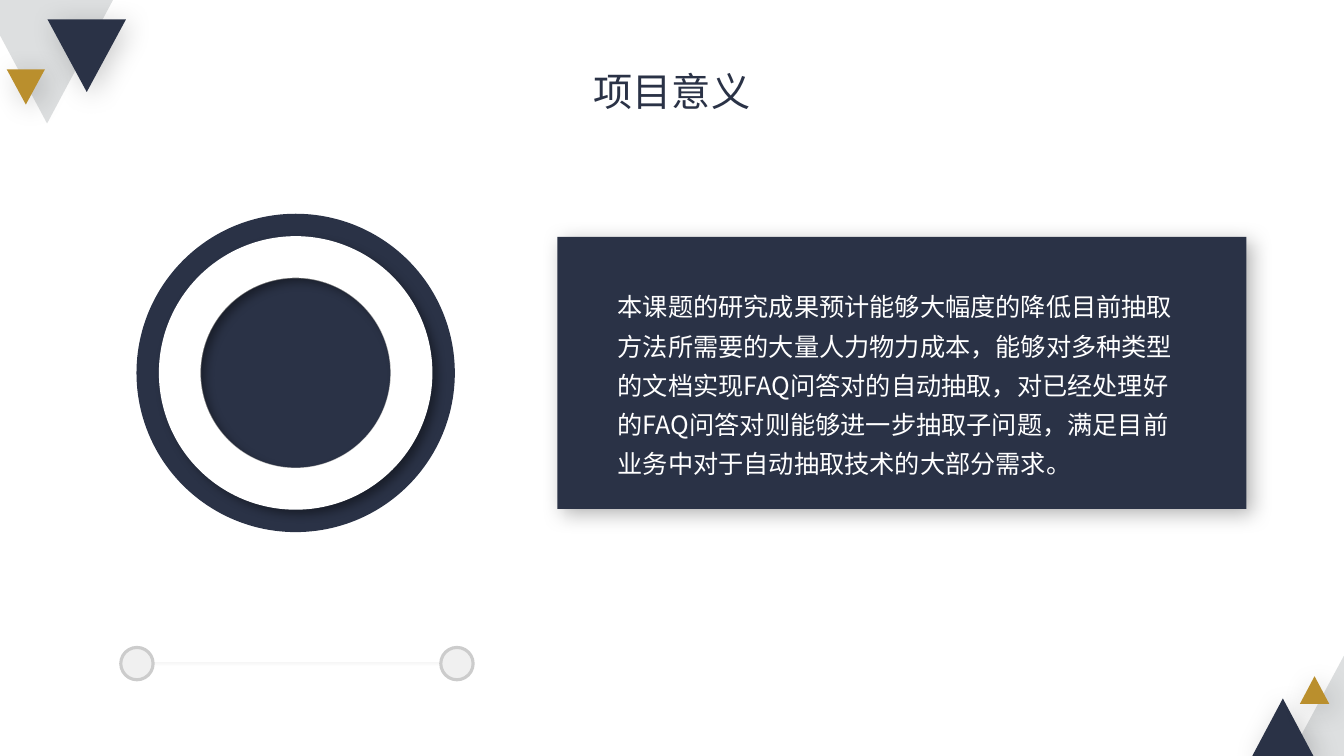
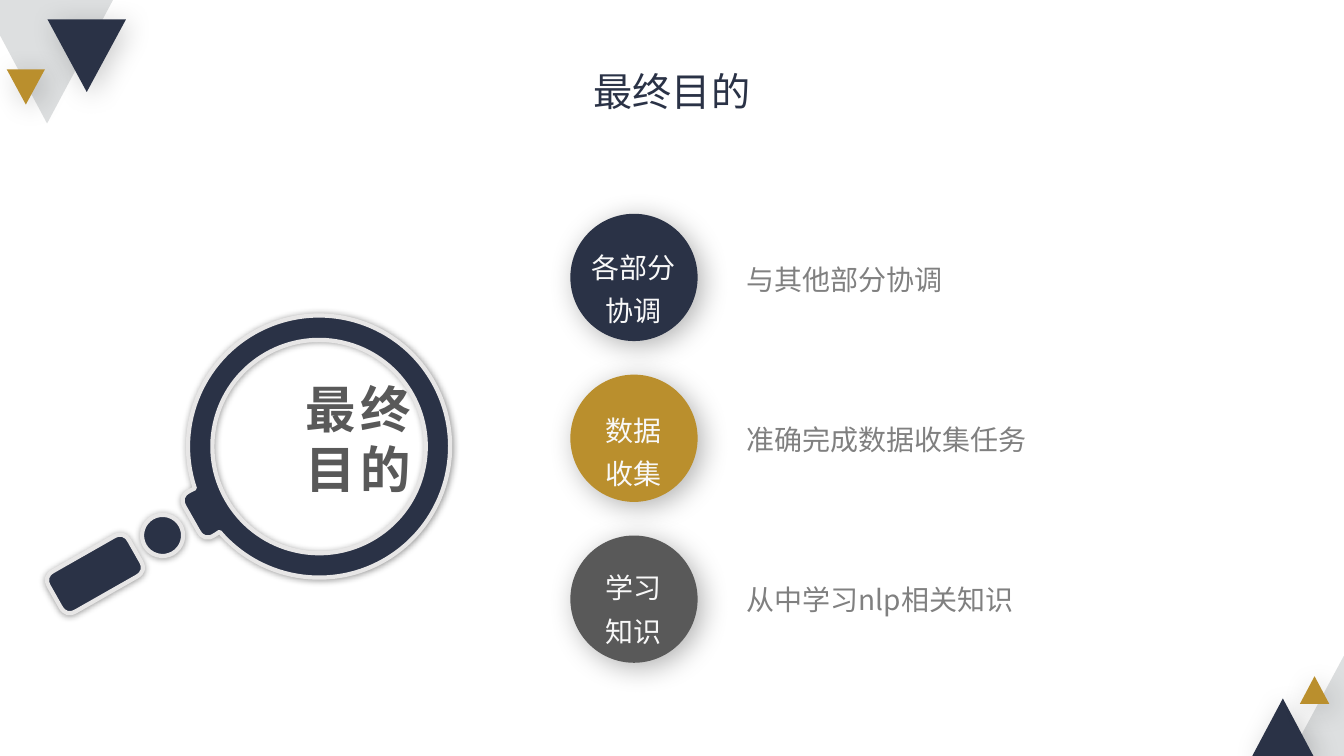
import math
from dataclasses import dataclass

from lxml import etree
from pptx import Presentation
from pptx.dml.color import RGBColor
from pptx.enum.shapes import MSO_SHAPE
from pptx.enum.text import MSO_AUTO_SIZE, PP_ALIGN
from pptx.oxml.ns import qn
from pptx.util import Emu, Pt

TRIANGLE = MSO_SHAPE.ISOSCELES_TRIANGLE
RECT = MSO_SHAPE.RECTANGLE
OVAL = MSO_SHAPE.OVAL
DONUT = MSO_SHAPE.DONUT
LEFT, CENTER = PP_ALIGN.LEFT, PP_ALIGN.CENTER
GROW = MSO_AUTO_SIZE.SHAPE_TO_FIT_TEXT

COLS, ROWS = 32, 18
CELL = 381000
FONT = "Noto Sans CJK SC"
COLORS = {
    "navy": "2A3246",
    "gold": "BA8F2D",
    "mist": "DDDFE0",
    "white": "FFFFFF",
    "offwhite": "F8F8F8",
    "pale": "F1F1F1",
    "pearl": "F0F0F0",
    "rim": "E7E6E6",
    "silver": "BFBFBF",
    "knob_line": "CCCCCC",
    "gray": "808080",
    "charcoal": "595959",
    "black": "000000",
}

Point = tuple[float, float]
Segment = tuple[Point, ...]


@dataclass(frozen=True)
class Box:
    col: float
    row: float
    cols: float
    rows: float


@dataclass(frozen=True)
class Shadow:
    alpha: int
    blur: float
    dist: float
    angle: int


@dataclass(frozen=True)
class Triangle:
    box: Box
    color: str
    rotation: int = 0
    shadow: Shadow | None = None


@dataclass(frozen=True)
class TextStyle:
    size: float
    color: str
    align: PP_ALIGN = LEFT
    line_spacing: float | None = None
    bold: bool = False
    tracking: float = 0


@dataclass(frozen=True)
class Goal:
    color: str
    label: tuple[str, ...]
    label_offset: float
    note: str


CORNER_SHADOW = Shadow(20, 20, 5, 45)
PANEL_SHADOW = Shadow(30, 15, 5, 45)
GOAL_SHADOW = Shadow(30, 20, 5, 45)
RING_SHADOW = Shadow(40, 7, 5, 45)
LENS_SHADOW = Shadow(40, 5, 0, 0)

TITLE_STYLE = TextStyle(28, "navy", CENTER, 1.2)
BODY_STYLE = TextStyle(18, "white", line_spacing=1.3)
LABEL_STYLE = TextStyle(20, "offwhite", CENTER, 1.3)
NOTE_STYLE = TextStyle(20, "gray", line_spacing=1.3)
LENS_STYLE = TextStyle(36, "charcoal", bold=True, tracking=3)

TITLE_BOX = Box(12.23, 1.27, 7.54, 1.58)
CORNERS = (
    Triangle(Box(-0.45, 0, 3.14, 2.94), "mist", 180),
    Triangle(Box(1.13, 0.46, 1.87, 1.73), "navy", 180, CORNER_SHADOW),
    Triangle(Box(0.16, 1.65, 0.91, 0.84), "gold", 180, CORNER_SHADOW),
    Triangle(Box(30.41, 15.62, 3.17, 2.95), "mist"),
    Triangle(Box(29.79, 16.63, 1.51, 1.42), "navy", 0, CORNER_SHADOW),
    Triangle(Box(30.95, 16.1, 0.7, 0.66), "gold", 0, CORNER_SHADOW),
)

MEANING = (
    "本课题的研究成果预计能够大幅度的降低目前抽取方法所需要的大量人力物力成本，"
    "能够对多种类型的文档实现FAQ问答对的自动抽取，对已经处理好的FAQ问答对则能够"
    "进一步抽取子问题，满足目前业务中对于自动抽取技术的大部分需求。"
)
TARGET_CENTER = (7.04, 8.88)
KNOB_COLS, KNOB_ROW = (3.26, 10.88), 15.8

GOALS = (
    Goal("navy", ("各部分协调",), 0.51, "与其他部分协调"),
    Goal("gold", ("数据", "收集"), 0.56, "准确完成数据收集任务"),
    Goal("charcoal", ("学习", "知识"), 0.48, "从中学习nlp相关知识"),
)
GOAL_COL, GOAL_ROW, GOAL_SIZE, GOAL_STEP = 13.58, 5.09, 3.03, 3.83
NOTE_COL, NOTE_ROW, NOTE_STEP = 17.54, 5.9, 3.81

LENS_CENTER, LENS_OUTER, LENS_INNER = (8.3, 10.07), 3.12, 2.54
COLLAR_OFFSET, COLLAR_HALF, COLLAR_CORNER = 2.47, 0.62, 0.29
BEAD_OFFSET, BEAD_RADIUS = 3.03, 0.49
GRIP_OFFSET, GRIP_HALF, GRIP_CORNER = 4.34, (1.1, 0.55), 0.27
COLLAR_ARC = (124, 146)
LENS_TILT = 15.4


def rgb(name: str) -> RGBColor:
    return RGBColor.from_string(COLORS[name])


def grid(value: float) -> Emu:
    return Emu(round(value * CELL))


def place(box: Box) -> tuple[Emu, ...]:
    return tuple(grid(v) for v in (box.col, box.row, box.cols, box.rows))


def around(center: Point, size: float) -> Box:
    return Box(center[0] - size / 2, center[1] - size / 2, size, size)


def finish(sp, fill: str | None, line: str | None = None, width: float = 1,
           shadow: Shadow | None = None) -> None:
    if fill:
        sp.fill.solid()
        sp.fill.fore_color.rgb = rgb(fill)
    else:
        sp.fill.background()
    if line:
        sp.line.color.rgb = rgb(line)
        sp.line.width = Pt(width)
    else:
        sp.line.fill.background()
    sp.shadow.inherit = False
    if shadow:
        effects = sp._element.spPr.find(qn("a:effectLst"))
        outer = etree.SubElement(
            effects, qn("a:outerShdw"), blurRad=str(Pt(shadow.blur)),
            dist=str(Pt(shadow.dist)), dir=str(shadow.angle * 60000),
            algn="ctr", rotWithShape="0")
        color = etree.SubElement(outer, qn("a:srgbClr"), val=COLORS["black"])
        etree.SubElement(color, qn("a:alpha"), val=str(shadow.alpha * 1000))


def add_shape(s, kind: MSO_SHAPE, box: Box, fill: str | None,
              line: str | None = None, width: float = 1,
              shadow: Shadow | None = None):
    sp = s.shapes.add_shape(kind, *place(box))
    finish(sp, fill, line, width, shadow)
    return sp


def set_gradient(sp, colors: tuple[str, str], angle: float) -> None:
    sp.fill.gradient()
    sp.fill.gradient_angle = angle
    for stop, color, position in zip(sp.fill.gradient_stops, colors, (0, 1)):
        stop.color.rgb = rgb(color)
        stop.position = position


def add_text(s, box: Box, lines: tuple[str, ...], style: TextStyle,
             wrap: bool = True) -> None:
    tf = s.shapes.add_textbox(*place(box)).text_frame
    tf.word_wrap = wrap
    tf.auto_size = GROW
    for i, line in enumerate(lines):
        p = tf.add_paragraph() if i else tf.paragraphs[0]
        p.text = line
        p.alignment = style.align
        if style.line_spacing:
            p.line_spacing = style.line_spacing
        p.font.size = Pt(style.size)
        p.font.bold = style.bold
        p.font.color.rgb = rgb(style.color)
        p.font.name = FONT
        props = p._p.pPr.find(qn("a:defRPr"))
        etree.SubElement(props, qn("a:ea"), typeface=FONT)
        if style.tracking:
            props.set("spc", str(round(style.tracking * 100)))


def arc(center: Point, radius: float, start: float,
        end: float) -> list[Segment]:
    step = math.radians(end - start) / 4
    reach = 4 / 3 * math.tan(step / 4)

    def at(a: float, pull: float = 0) -> Point:
        return (center[0] + radius * (math.cos(a) - pull * math.sin(a)),
                center[1] + radius * (math.sin(a) + pull * math.cos(a)))

    angles = [math.radians(start) + i * step for i in range(5)]
    return [(at(angles[0]),)] + [(at(a, reach), at(b, -reach), at(b))
                                 for a, b in zip(angles, angles[1:])]


def on_handle(offset: float, along: float = 0, across: float = 0) -> Point:
    k = math.sqrt(0.5)
    return (LENS_CENTER[0] - offset + k * (along + across),
            LENS_CENTER[1] + offset + k * (across - along))


def fillet(before: Point, corner: Point, after: Point,
           radius: float) -> list[Segment]:
    def toward(end: Point, length: float) -> Point:
        share = length / math.dist(corner, end)
        return tuple(c + (e - c) * share for c, e in zip(corner, end))

    return [(toward(before, radius),),
            (toward(before, radius / 3), toward(after, radius / 3),
             toward(after, radius))]


def magnifier_contours() -> list[list[Segment]]:
    start, end = COLLAR_ARC
    rim = arc(LENS_CENTER, LENS_OUTER, end - 360, start)
    low = on_handle(COLLAR_OFFSET, across=COLLAR_HALF)
    high = on_handle(COLLAR_OFFSET, across=-COLLAR_HALF)
    rim += fillet(rim[-1][-1], low, high, COLLAR_CORNER)
    rim += fillet(low, high, rim[0][0], COLLAR_CORNER)
    hole = arc(LENS_CENTER, LENS_INNER, 360, 0)
    bead = arc(on_handle(BEAD_OFFSET), BEAD_RADIUS, 0, 360)
    half, thick = GRIP_HALF
    corners = [on_handle(GRIP_OFFSET, x * half, y * thick)
               for x, y in ((-1, -1), (1, -1), (1, 1), (-1, 1))]
    grip = [seg for i in range(4)
            for seg in fillet(corners[i - 1], corners[i],
                              corners[(i + 1) % 4], GRIP_CORNER)]
    return [rim, hole, bead, grip]


def add_magnifier(s) -> None:
    contours = magnifier_contours()
    builder = s.shapes.build_freeform()
    for contour in contours:
        points = [(grid(x), grid(y)) for seg in contour for x, y in seg]
        builder.move_to(*points[0])
        builder.add_line_segments(points[1:], close=True)
    sp = builder.convert_to_shape()
    outline = sp._element.find(".//" + qn("a:path"))
    outline.remove(outline[0])
    nodes = iter(outline.findall(qn("a:lnTo")))
    for seg in (seg for contour in contours for seg in contour[1:]):
        group = [next(nodes) for _ in seg]
        if len(group) == 3:
            curve = etree.Element(qn("a:cubicBezTo"))
            group[0].addprevious(curve)
            for node in group:
                curve.append(node[0])
                outline.remove(node)
    sp.rotation = LENS_TILT
    finish(sp, "navy", "rim", 3, LENS_SHADOW)


def new_slide(prs, title: str):
    s = prs.slides.add_slide(prs.slide_layouts[6])
    for tri in CORNERS:
        sp = add_shape(s, TRIANGLE, tri.box, tri.color, shadow=tri.shadow)
        sp.rotation = tri.rotation
    add_text(s, TITLE_BOX, (title,), TITLE_STYLE)
    return s


def build_meaning(prs) -> None:
    s = new_slide(prs, "项目意义")
    add_shape(s, RECT, Box(13.27, 5.64, 16.41, 6.48), "navy",
              shadow=PANEL_SHADOW)
    add_text(s, Box(14.47, 6.61, 14.04, 4.97), (MEANING,), BODY_STYLE)
    bar = add_shape(s, RECT, Box(3.19, 15.72, 7.85, 0.17), "pale",
                    "white", 2.25)
    set_gradient(bar, ("pale", "white"), 270)
    for col in KNOB_COLS:
        knob = add_shape(s, OVAL, around((col, KNOB_ROW), 0.77), "pearl",
                         "knob_line", 2.25)
        set_gradient(knob, ("pearl", "pale"), 315)
    add_shape(s, OVAL, around(TARGET_CENTER, 7.58), "navy")
    add_shape(s, OVAL, around(TARGET_CENTER, 4.54), None, "silver")
    ring = add_shape(s, DONUT, around(TARGET_CENTER, 6.48), "white",
                     shadow=RING_SHADOW)
    ring.adjustments[0] = 0.15
    add_shape(s, OVAL, around(TARGET_CENTER, 6.48), None, "white")


def build_goals(prs) -> None:
    s = new_slide(prs, "最终目的")
    for i, goal in enumerate(GOALS):
        row = GOAL_ROW + i * GOAL_STEP
        add_shape(s, OVAL, Box(GOAL_COL, row, GOAL_SIZE, GOAL_SIZE),
                  goal.color, shadow=GOAL_SHADOW)
        add_text(s, Box(GOAL_COL, row + goal.label_offset, 3.02, 2.35),
                 goal.label, LABEL_STYLE)
        add_text(s, Box(NOTE_COL, NOTE_ROW + i * NOTE_STEP, 11.57, 1.3),
                 (goal.note,), NOTE_STYLE)
    add_magnifier(s)
    add_text(s, Box(7.04, 8.88, 3.1, 3.14), ("最终", "目的"), LENS_STYLE, False)


prs = Presentation()
prs.slide_width, prs.slide_height = grid(COLS), grid(ROWS)
build_meaning(prs)
build_goals(prs)
prs.save("out.pptx")
